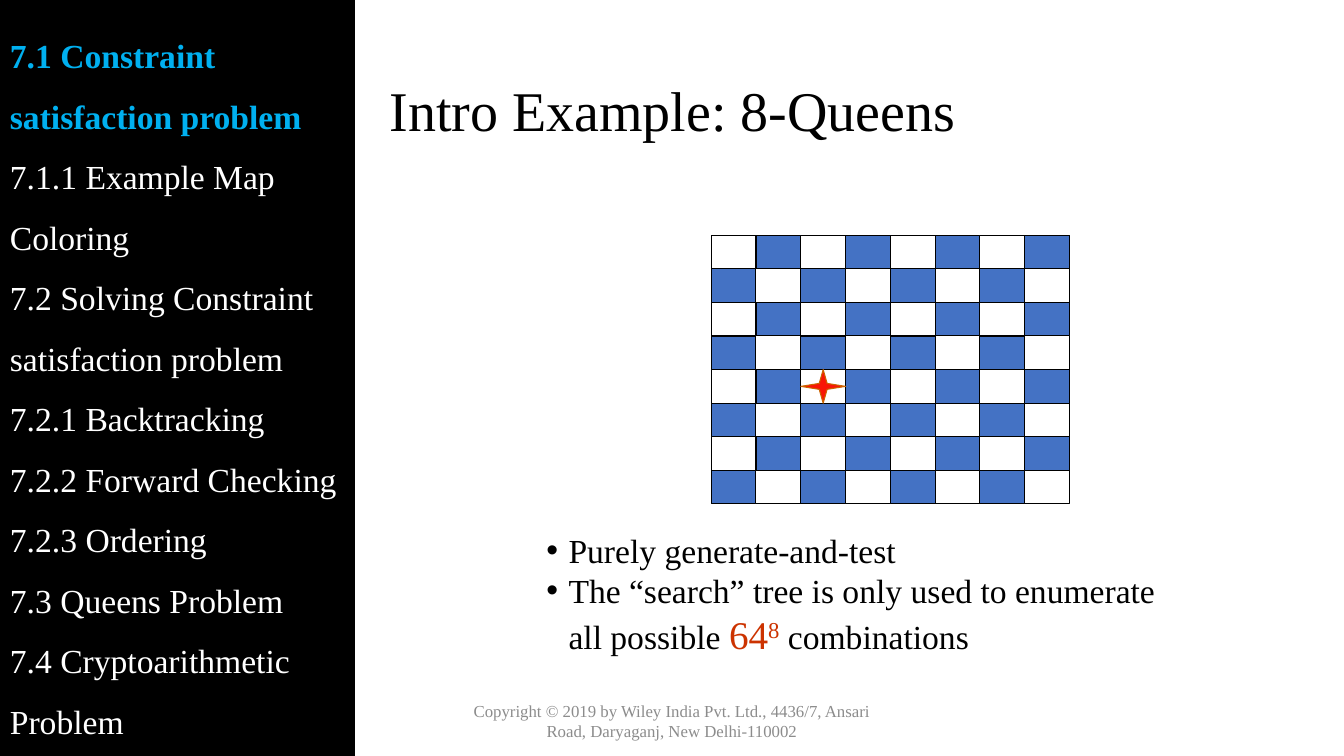
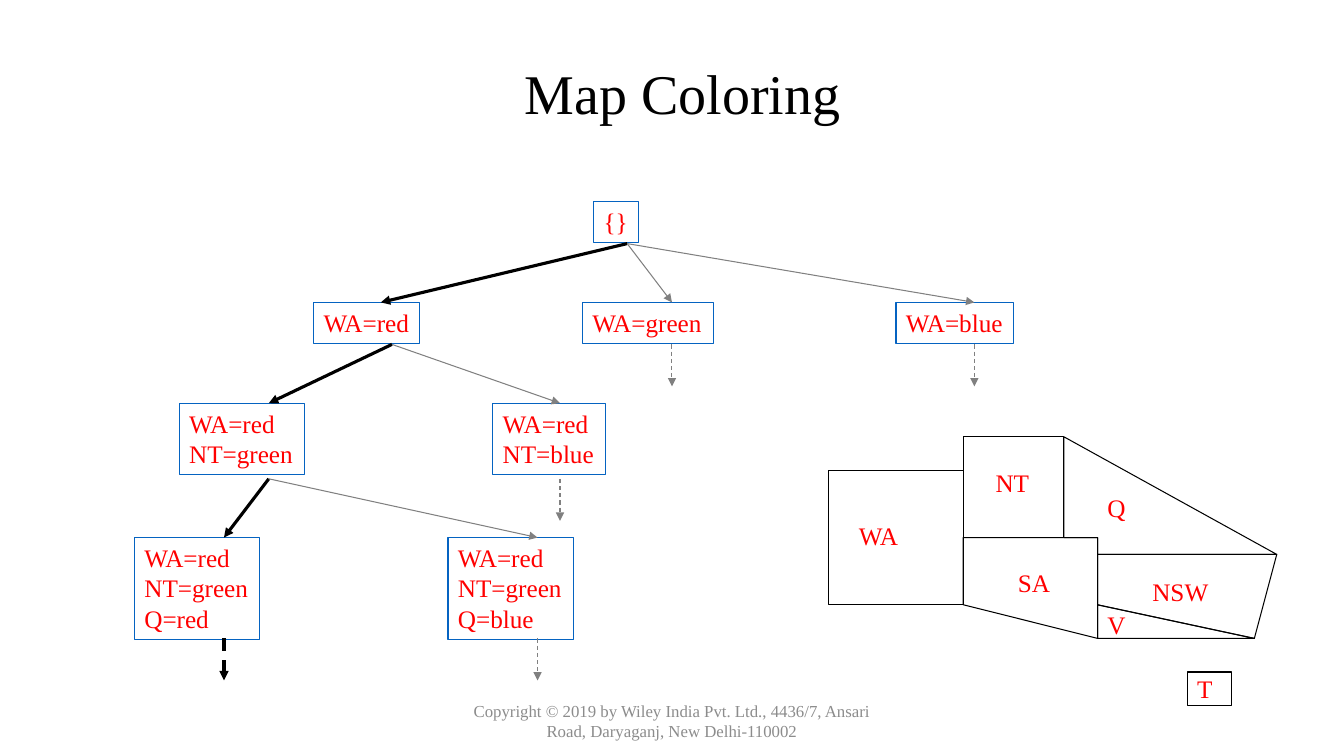
"""Build two slides on constraint satisfaction: the 8-queens board and a map-coloring search tree."""
from itertools import product

from lxml.etree import SubElement
from pptx import Presentation
from pptx.dml.color import RGBColor
from pptx.enum.dml import MSO_LINE as Dash
from pptx.enum.shapes import MSO_CONNECTOR as Link, MSO_SHAPE as Kind
from pptx.enum.text import MSO_ANCHOR as Anchor, PP_ALIGN as Align
from pptx.oxml.ns import qn
from pptx.util import Inches, Pt

FONT = "Times New Roman"
BLACK, WHITE, RED, GRAY = "000000", "FFFFFF", "FF0000", "808080"
BOARD_BLUE, NODE_BLUE, SKY, RUST = "4472C4", "0563C1", "00B0F0", "CC3300"
FOOTER = "Copyright © 2019 by Wiley India Pvt. Ltd., 4436/7, Ansari Road, Daryaganj, New Delhi-110002"
hue = RGBColor.from_string

deck = Presentation()
deck.slide_width, deck.slide_height = Inches(40 / 3), Inches(7.5)
COLUMN, ROW = deck.slide_width // 120, deck.slide_height // 90


def paint(shape, fill=None, line=None):
    """Give a shape a flat fill and a thin outline, or neither."""
    shape.shadow.inherit = False
    if fill:
        shape.fill.solid()
        shape.fill.fore_color.rgb = hue(fill)
    else:
        shape.fill.background()
    if line:
        shape.line.color.rgb = hue(line)
        shape.line.width = Pt(0.75)
    else:
        shape.line.fill.background()


def add_box(page, area, lines=(), kind=None, fill=None, line=None,
            align=Align.LEFT, anchor=Anchor.TOP, spacing=None, wrap=True):
    """Place a shape or text box on the grid; each line is a list of (text, size, colour)."""
    left, top, columns, rows = area
    place = [int(left * COLUMN), int(top * ROW), int(columns * COLUMN), int(rows * ROW)]
    if kind is None:
        box = page.shapes.add_textbox(*place)
    else:
        box = page.shapes.add_shape(kind, *place)
        paint(box, fill, line)
    frame = box.text_frame
    frame.word_wrap, frame.vertical_anchor = wrap, anchor
    for index, spans in enumerate(lines):
        para = frame.add_paragraph() if index else frame.paragraphs[0]
        para.alignment, para.line_spacing = align, spacing
        for text, size, color in spans:
            if text == "\n":
                para.add_line_break()
                continue
            span = para.add_run()
            span.text = text
            span.font.name, span.font.size = FONT, Pt(size)
            span.font.color.rgb = hue(color)
    return box


pages = []
for title, area, align in [
    ("Intro Example: 8-Queens", (33.9, 4.8, 77.9, 17.4), Align.LEFT),
    ("Map Coloring", (20.5, 2.8, 80.9, 17.4), Align.CENTER),
]:
    page = deck.slides.add_slide(deck.slide_layouts[6])
    add_box(page, area, [[(title, 40, BLACK)]], align=align, anchor=Anchor.MIDDLE, spacing=0.9)
    add_box(page, (39.75, 83.4, 40.5, 4.8), [[(FOOTER, 12, "8C8C8C")]],
            align=Align.CENTER, anchor=Anchor.MIDDLE)
    pages.append(page)
queens, coloring = pages

BOARD_LEFT, BOARD_TOP, CELL = 63.5, 28, 4
add_box(queens, (BOARD_LEFT, BOARD_TOP, 8 * CELL, 8 * CELL), kind=Kind.RECTANGLE, line=BLACK)
for row, column in product(range(8), repeat=2):
    if (row + column) % 2:
        add_box(queens, (BOARD_LEFT + column * CELL, BOARD_TOP + row * CELL, CELL, CELL),
                kind=Kind.RECTANGLE, fill=BOARD_BLUE, line=BLACK)
add_box(queens, (BOARD_LEFT + 2 * CELL, BOARD_TOP + 4 * CELL, CELL, CELL),
        kind=Kind.STAR_4_POINT, fill="F81706", line="CC6600")

bullets = add_box(queens, (47.9, 62.5, 58.7, 16.6), [
    [("Purely generate-and-test", 24, BLACK)],
    [("The “search” tree is only used to enumerate", 24, BLACK), ("\n", 24, BLACK),
     ("all possible ", 24, BLACK), ("64", 28, RUST), ("8", 28, RUST),
     (" combinations", 24, BLACK)],
])
for para in bullets.text_frame.paragraphs:
    props = para._p.get_or_add_pPr()
    props.set("marL", str(Inches(0.22)))
    props.set("indent", str(-Inches(0.22)))
    SubElement(props, qn("a:buFont"), typeface="Arial")
    SubElement(props, qn("a:buChar"), char="•")
exponent = bullets.text_frame.paragraphs[1].runs[3]
exponent.font._element.set("baseline", "30000")

topics = [
    "7.1 Constraint satisfaction problem",
    "7.1.1 Example Map Coloring",
    "7.2 Solving Constraint satisfaction problem",
    "7.2.1 Backtracking",
    "7.2.2 Forward Checking",
    "7.2.3 Ordering",
    "7.3 Queens Problem",
    "7.4 Cryptoarithmetic Problem",
]
sidebar = add_box(queens, (0, 0, 31.7, 90),
                  [[(topic, 24, WHITE)] for topic in topics],
                  kind=Kind.RECTANGLE, fill=BLACK, anchor=Anchor.MIDDLE, spacing=1.5)
current = sidebar.text_frame.paragraphs[0].runs[0]
current.font.bold = True
current.font.color.rgb = hue(SKY)

for left, top, columns, state in [
    (53, 24, 4, ["{}"]),
    (28, 36, 9.5, ["WA=red"]),
    (52, 36, 11.7, ["WA=green"]),
    (80, 36, 10.5, ["WA=blue"]),
    (16, 48, 11.2, ["WA=red", "NT=green"]),
    (44, 48, 10.1, ["WA=red", "NT=blue"]),
    (12, 64, 11.2, ["WA=red", "NT=green", "Q=red"]),
    (40, 64, 11.2, ["WA=red", "NT=green", "Q=blue"]),
]:
    add_box(coloring, (left, top, columns, 1.2 + 3.65 * len(state)),
            [[(choice, 18, RED)] for choice in state],
            kind=Kind.RECTANGLE, line=NODE_BLUE, wrap=False)

for area in [(74, 56, 12, 16), (86, 52, 9, 12), (106, 80, 4, 4)]:
    add_box(coloring, area, kind=Kind.RECTANGLE, line=BLACK)
for start, *corners in [
    [(86, 64), (98, 64), (98, 76), (86, 72)],
    [(95, 52), (114, 66), (98, 66), (98, 64), (95, 64)],
    [(98, 66), (98, 72), (112, 76), (114, 66)],
    [(98, 72), (98, 76), (112, 76)],
]:
    outline = coloring.shapes.build_freeform(*start, scale=(COLUMN, ROW))
    outline.add_line_segments(corners, close=True)
    paint(outline.convert_to_shape(), line=BLACK)

for name, left, top, columns in [
    ("WA", 75.8, 61.4, 5.3),
    ("NT", 88, 55, 4.9),
    ("SA", 90, 67, 4.8),
    ("Q", 98, 58, 3.4),
    ("NSW", 102, 68, 6.8),
    ("V", 98, 72, 3.4),
    ("T", 106, 79.6, 3.2),
]:
    add_box(coloring, (left, top, columns, 4.8), [[(name, 18, RED)]], wrap=False)

for start, end, color, weight, dashed in [
    ((56, 29), (34, 36), BLACK, 2.25, False),
    ((35, 41), (24, 48), BLACK, 2.25, False),
    ((24, 57), (20, 64), BLACK, 2.25, False),
    ((20, 76), (20, 81), BLACK, 2.25, True),
    ((56, 29), (60, 36), GRAY, 0.75, False),
    ((56, 29), (87, 36), GRAY, 0.75, False),
    ((24, 57), (48, 64), GRAY, 0.75, False),
    ((35, 41), (50, 48), GRAY, 0.75, False),
    ((50, 57), (50, 62), GRAY, 0.75, True),
    ((60, 41), (60, 46), GRAY, 0.75, True),
    ((48, 76), (48, 81), GRAY, 0.75, True),
    ((87, 41), (87, 46), GRAY, 0.75, True),
]:
    arrow = coloring.shapes.add_connector(
        Link.STRAIGHT, start[0] * COLUMN, start[1] * ROW, end[0] * COLUMN, end[1] * ROW)
    arrow.line.color.rgb = hue(color)
    arrow.line.width = Pt(weight)
    if dashed:
        arrow.line.dash_style = Dash.DASH
    SubElement(arrow.line._get_or_add_ln(), qn("a:tailEnd"), type="triangle")
    SubElement(arrow._element.spPr, qn("a:effectLst"))

deck.save("out.pptx")
